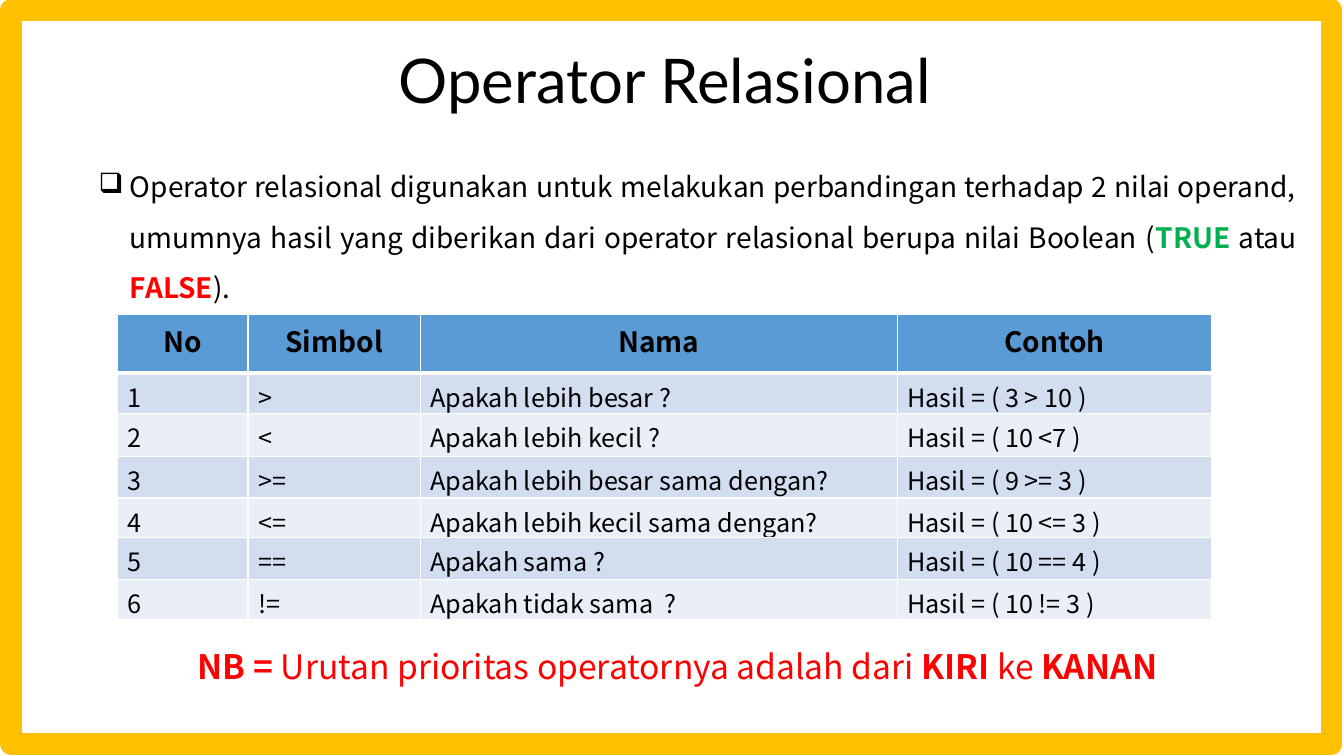
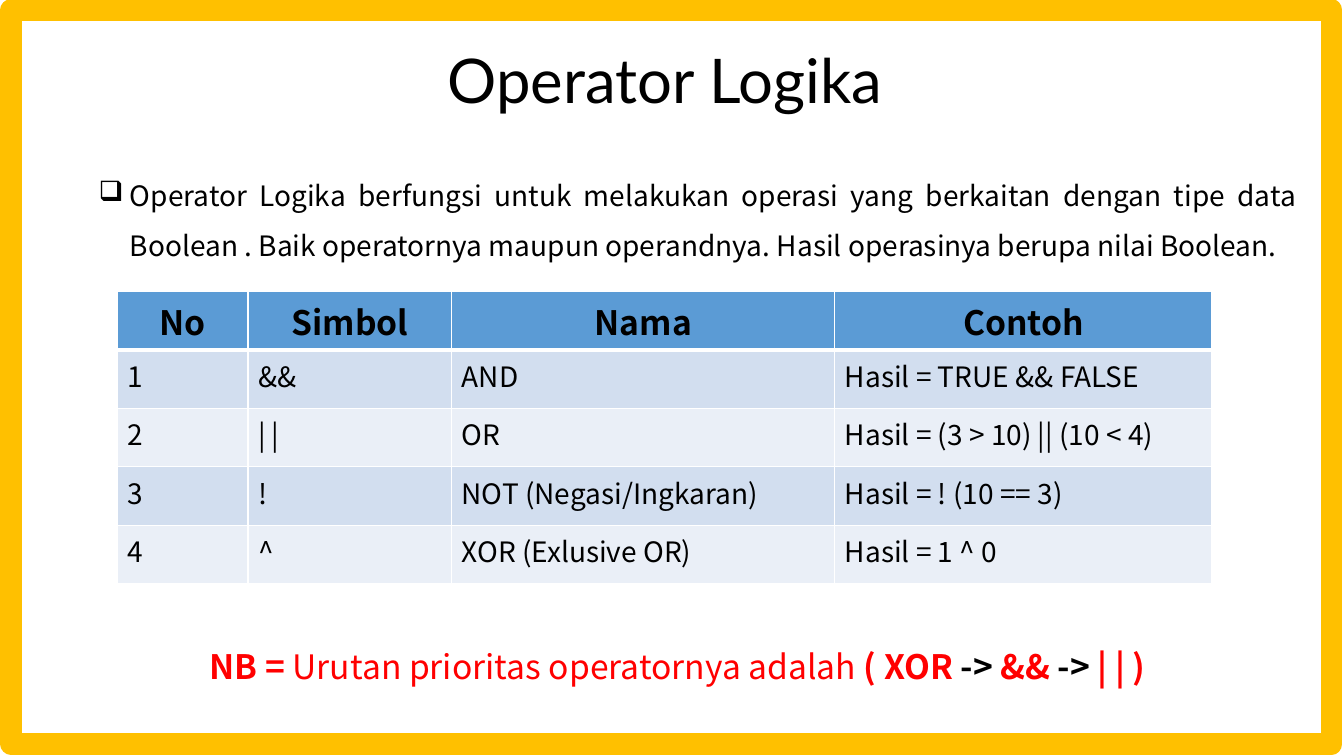
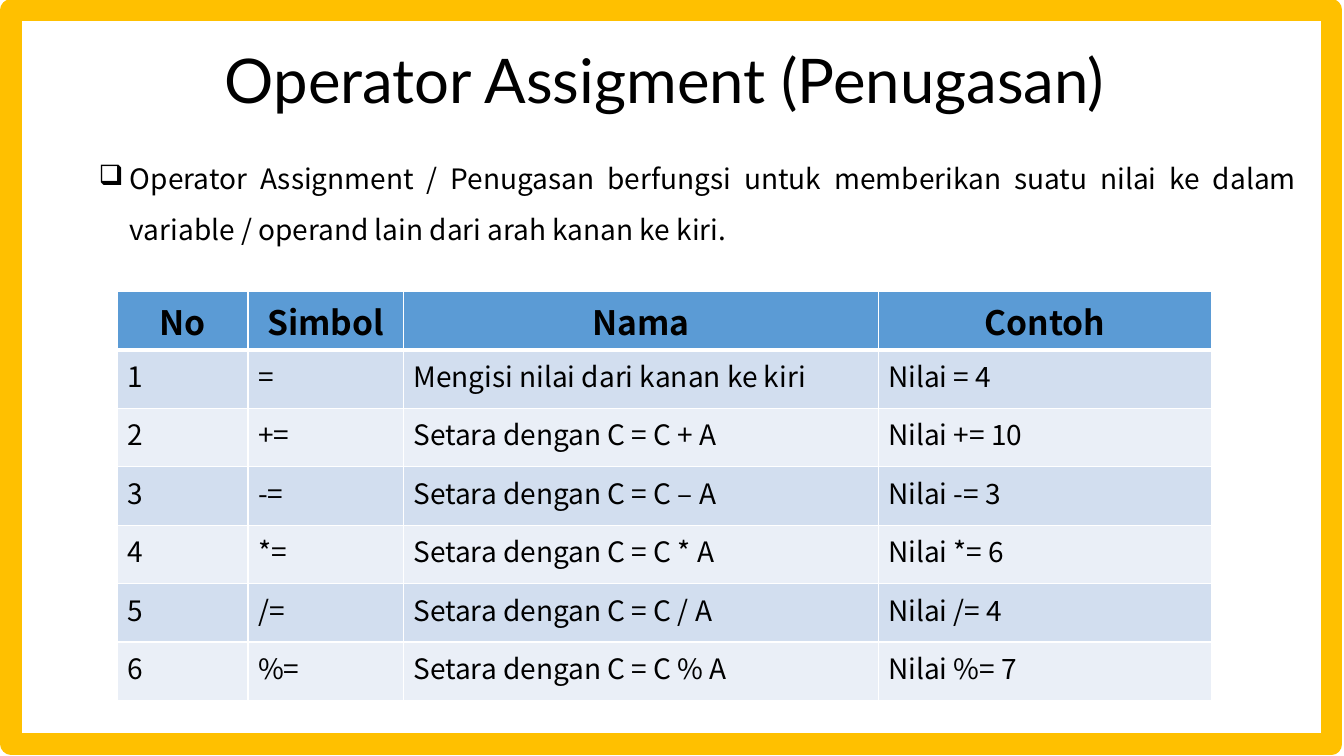
from dataclasses import dataclass

from lxml import etree
from pptx import Presentation
from pptx.dml.color import RGBColor
from pptx.enum.shapes import MSO_SHAPE
from pptx.enum.text import MSO_ANCHOR, MSO_AUTO_SIZE, PP_ALIGN
from pptx.oxml.ns import qn
from pptx.util import Inches, Pt

CENTER, JUSTIFY, LEFT = PP_ALIGN.CENTER, PP_ALIGN.JUSTIFY, PP_ALIGN.LEFT
TOP, MIDDLE = MSO_ANCHOR.TOP, MSO_ANCHOR.MIDDLE
GROW, NO_GROW = MSO_AUTO_SIZE.SHAPE_TO_FIT_TEXT, MSO_AUTO_SIZE.NONE
RECTANGLE = MSO_SHAPE.RECTANGLE

COLORS = {
    "black": "000000", "white": "FFFFFF", "red": "FF0000", "green": "00B050",
    "frame": "FFC000", "header": "5B9BD5", "odd": "D2DEEF", "even": "EAEFF7",
}
TITLE_FONT, BODY_FONT = "Lato", "Noto Sans CJK JP"
HEADINGS = ("No", "Simbol", "Nama", "Contoh")
TEXT_LEFT, TEXT_WIDTH = 0.38, 12.58
ROW_HEIGHT = 0.58


@dataclass(frozen=True)
class Run:
    text: str
    color: str = "black"
    bold: bool = False


@dataclass(frozen=True)
class OperatorTable:
    top: float
    col_widths: tuple[float, ...]
    row_heights: tuple[float, ...]
    rows: tuple[tuple[str, str, str], ...]
    header_size: int = 24
    body_size: int = 20
    bottom_margin: float = 0.05


@dataclass(frozen=True)
class OperatorSlide:
    title: str
    intro_top: float
    intro_height: float
    intro: tuple[Run, ...]
    table: OperatorTable
    note: tuple[Run, ...] = ()


SLIDES = (
    OperatorSlide(
        "Operator Relasional", 1.47, 1.62,
        (Run("Operator relasional digunakan untuk melakukan perbandingan terhadap "
             "2 nilai operand, umumnya hasil yang diberikan dari operator "
             "relasional berupa nilai Boolean ("),
         Run("TRUE ", "green", True), Run("atau "),
         Run("FALSE", "red", True), Run(").")),
        OperatorTable(
            3.12, (1.3, 1.71, 4.73, 3.12),
            (ROW_HEIGHT, 0.4, 0.43, 0.41, 0.39, 0.42, 0.4),
            ((">", "Apakah lebih besar ?", "Hasil = ( 3 > 10 )"),
             ("<", "Apakah lebih kecil ?", "Hasil = ( 10 <7 )"),
             (">=", "Apakah lebih besar sama dengan?", "Hasil = ( 9 >= 3 )"),
             ("<=", "Apakah lebih kecil sama dengan?", "Hasil = ( 10 <= 3 )"),
             ("==", "Apakah sama ?", "Hasil = ( 10 == 4 )"),
             ("!=", "Apakah tidak sama  ?", "Hasil = ( 10 != 3 )")),
            header_size=20, body_size=18, bottom_margin=0),
        (Run("NB = ", "red", True),
         Run("Urutan prioritas operatornya adalah dari ", "red"),
         Run("KIRI ", "red", True), Run("ke ", "red"), Run("KANAN", "red", True)),
    ),
    OperatorSlide(
        "Operator Logika", 1.55, 1.11,
        (Run("Operator Logika berfungsi untuk melakukan operasi yang berkaitan "
             "dengan tipe data Boolean . Baik operatornya maupun operandnya. "
             "Hasil operasinya berupa nilai Boolean."),),
        OperatorTable(
            2.89, (1.3, 2.02, 3.8, 3.74), (ROW_HEIGHT,) * 5,
            (("&&", "AND", "Hasil = TRUE && FALSE"),
             ("| |", "OR", "Hasil = (3 > 10) || (10 < 4)"),
             ("!", "NOT (Negasi/Ingkaran)", "Hasil = ! (10 == 3)"),
             ("^", "XOR (Exlusive OR)", "Hasil = 1 ^ 0"))),
        (Run("NB = ", "red", True),
         Run("Urutan prioritas operatornya adalah ", "red"),
         Run("( XOR ", "red", True), Run("->", "black", True),
         Run(" && ", "red", True), Run("->", "black", True),
         Run(" | | )", "red", True)),
    ),
    OperatorSlide(
        "Operator Assigment (Penugasan)", 1.39, 1.11,
        (Run("Operator Assignment / Penugasan berfungsi untuk memberikan suatu "
             "nilai ke dalam variable / operand lain dari arah kanan ke kiri."),),
        OperatorTable(
            2.89, (1.3, 1.54, 4.71, 3.31), (ROW_HEIGHT,) * 7,
            (("=", "Mengisi nilai dari kanan ke kiri", "Nilai = 4"),
             ("+=", "Setara dengan C = C + A", "Nilai += 10"),
             ("-=", "Setara dengan C = C – A", "Nilai -= 3"),
             ("*=", "Setara dengan C = C * A", "Nilai *= 6"),
             ("/=", "Setara dengan C = C / A", "Nilai /= 4"),
             ("%=", "Setara dengan C = C % A", "Nilai %= 7"))),
    ),
)


def rgb(name: str) -> RGBColor:
    return RGBColor.from_string(COLORS[name])


def add_runs(p, runs: tuple[Run, ...], size: int, font: str = BODY_FONT) -> None:
    for run in runs:
        r = p.add_run()
        r.text = run.text
        r.font.name = font
        r.font.size = Pt(size)
        r.font.bold = run.bold
        r.font.color.rgb = rgb(run.color)


def add_text(s, left: float, top: float, width: float, height: float,
             runs: tuple[Run, ...], size: int, align: PP_ALIGN, spacing: float,
             font: str = BODY_FONT, anchor: MSO_ANCHOR = TOP,
             auto_size: MSO_AUTO_SIZE = GROW):
    """Add a one-paragraph text box and return its paragraph."""
    tf = s.shapes.add_textbox(Inches(left), Inches(top),
                              Inches(width), Inches(height)).text_frame
    tf.word_wrap = True
    tf.auto_size = auto_size
    tf.vertical_anchor = anchor
    p = tf.paragraphs[0]
    p.alignment = align
    p.line_spacing = spacing
    add_runs(p, runs, size, font)
    return p


def set_indent(p, margin: float, first_line: float = 0, bullet: str = "") -> None:
    p.level = 1
    pPr = p._p.get_or_add_pPr()
    pPr.set("marL", str(Inches(margin)))
    pPr.set("indent", str(Inches(first_line)))
    if bullet:
        etree.SubElement(pPr, qn("a:buChar"), char=bullet)


def set_borders(cell, is_header: bool) -> None:
    """White cell lines, with a heavier one below the header."""
    widths = {"L": 1, "R": 1, "T": 1, "B": 3} if is_header else {"L": 1, "R": 1, "B": 1}
    tcPr = cell._tc.get_or_add_tcPr()
    for side, width in widths.items():
        ln = etree.SubElement(tcPr, qn(f"a:ln{side}"), w=str(Pt(width)))
        fill = etree.SubElement(ln, qn("a:solidFill"))
        etree.SubElement(fill, qn("a:srgbClr"), val=COLORS["white"])


def add_operator_table(s, spec_table: OperatorTable) -> None:
    numbered = [(str(n), *row) for n, row in enumerate(spec_table.rows, 1)]
    rows = [HEADINGS, *numbered]
    table = s.shapes.add_table(
        len(rows), len(HEADINGS), Inches(1.16), Inches(spec_table.top),
        Inches(sum(spec_table.col_widths)), Inches(sum(spec_table.row_heights))).table
    table.horz_banding = False
    for column, width in zip(table.columns, spec_table.col_widths):
        column.width = Inches(width)
    for i, (row, height) in enumerate(zip(rows, spec_table.row_heights)):
        table.rows[i].height = Inches(height)
        is_header = i == 0
        fill = "header" if is_header else "odd" if i % 2 else "even"
        size = spec_table.header_size if is_header else spec_table.body_size
        for j, text in enumerate(row):
            cell = table.cell(i, j)
            set_borders(cell, is_header)
            cell.fill.solid()
            cell.fill.fore_color.rgb = rgb(fill)
            cell.margin_bottom = Inches(spec_table.bottom_margin)
            p = cell.text_frame.paragraphs[0]
            p.alignment = CENTER if is_header else LEFT
            add_runs(p, (Run(text, bold=is_header),), size)


def add_frame(s) -> None:
    sp = s.shapes.add_shape(RECTANGLE, Inches(0.11), Inches(0.1),
                            Inches(13.1), Inches(7.28))
    sp.shadow.inherit = False
    sp.fill.background()
    sp.line.color.rgb = rgb("frame")
    sp.line.width = Pt(15.25)


def add_operator_slide(prs, content: OperatorSlide) -> None:
    s = prs.slides.add_slide(prs.slide_layouts[6])
    # Title
    add_text(s, 1.09, 0.43, 11.01, 0.8, (Run(content.title),), 44, CENTER, 0.9,
             TITLE_FONT, MIDDLE, NO_GROW)
    # Introduction
    p = add_text(s, TEXT_LEFT, content.intro_top, TEXT_WIDTH, content.intro_height,
                 content.intro, 20, JUSTIFY, 1.5)
    set_indent(p, 0.81, -0.31, "❑")
    # Operators
    add_operator_table(s, content.table)
    # Priority note
    if content.note:
        p = add_text(s, 0.18, 6.16, TEXT_WIDTH, 0.71, content.note, 24, CENTER, 1.5)
        set_indent(p, 0.5)
    add_frame(s)


def main() -> None:
    prs = Presentation()
    prs.slide_width, prs.slide_height = Inches(13.33), Inches(7.5)
    for content in SLIDES:
        add_operator_slide(prs, content)
    prs.save("out.pptx")


if __name__ == "__main__":
    main()
